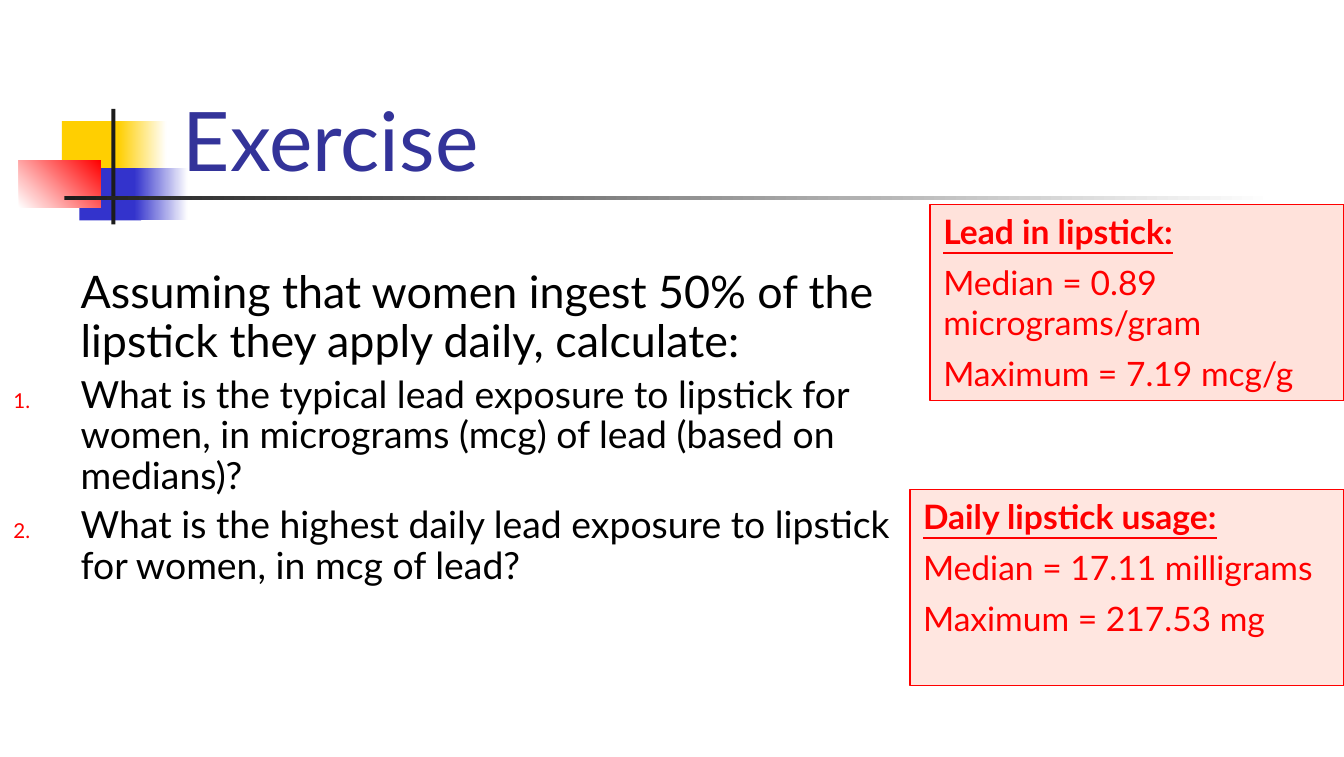
"""Build the lipstick lead exposure exercise slide."""
from lxml import etree
from pptx import Presentation
from pptx.dml.color import RGBColor
from pptx.enum.shapes import MSO_SHAPE
from pptx.enum.text import MSO_ANCHOR, MSO_AUTO_SIZE, PP_ALIGN
from pptx.oxml.ns import qn
from pptx.util import Inches, Pt

RECT = MSO_SHAPE.RECTANGLE
TOP, BOTTOM = MSO_ANCHOR.TOP, MSO_ANCHOR.BOTTOM
FIXED = MSO_AUTO_SIZE.NONE
LEFT = PP_ALIGN.LEFT

THEME = {
    "font": "Lato",
    "title": "333399", "text": "000000", "alert": "FF0000", "tint": "FF3300",
    "gold": "FFCF01", "blue": "3333CC", "dark": "1C1C1C", "white": "FFFFFF",
    "head_pt": 44, "lead_pt": 24, "item_pt": 20, "note_pt": 18,
}


def style(par, size, color, bold=False):
    for run in par.runs:
        font = run.font
        font.name, font.size = THEME["font"], Pt(THEME[size])
        font.color.rgb = RGBColor.from_string(THEME[color])
        font.bold = font.underline = bold


def add_rect(box, start, end=None, angle=0):
    rect = slide.shapes.add_shape(RECT, *map(Inches, box))
    rect.shadow.inherit = False
    rect.line.fill.background()
    if end:
        rect.fill.gradient()
        rect.fill.gradient_angle = angle
        for stop, name in zip(rect.fill.gradient_stops, (start, end)):
            stop.color.rgb = RGBColor.from_string(THEME[name])
    else:
        rect.fill.solid()
        rect.fill.fore_color.rgb = RGBColor.from_string(THEME[start])
    return rect


deck = Presentation()
deck.slide_width, deck.slide_height = Inches(10), Inches(5.63)
slide = deck.slides.add_slide(deck.slide_layouts[1])
title, body = slide.placeholders

add_rect((0.46, 0.9, 0.48, 0.39), "gold")
add_rect((0.88, 0.9, 0.36, 0.39), "gold", "white")
add_rect((0.59, 1.25, 0.46, 0.39), "blue")
add_rect((1, 1.25, 0.4, 0.39), "blue", "white")
add_rect((0.14, 1.19, 0.61, 0.35), "white", "alert", 45)
add_rect((0.83, 0.81, 0.03, 0.86), "dark")
add_rect((0.48, 1.46, 9, 0.03), "dark", "white")

for holder, box, anchor in (
    (title, (1.26, 0.51, 8.52, 0.94), BOTTOM),
    (body, (-0.5, 1.96, 7.54, 3.38), TOP),
):
    holder.left, holder.top, holder.width, holder.height = map(Inches, box)
    holder.text_frame.auto_size = FIXED
    holder.text_frame.vertical_anchor = anchor
    slide.shapes._spTree.append(holder._element)

title.text_frame.text = "Exercise"
title.text_frame.paragraphs[0].alignment = LEFT
style(title.text_frame.paragraphs[0], "head_pt", "title")

body.text_frame.text = "\n".join((
    "Assuming that women ingest 50% of the lipstick they apply daily, calculate:",
    "What is the typical lead exposure to lipstick for women, "
    "in micrograms (mcg) of lead (based on medians)?",
    "What is the highest daily lead exposure to lipstick for women, in mcg of lead?",
))
for rank, par in enumerate(body.text_frame.paragraphs):
    props = par._p.get_or_add_pPr()
    props.set("marL", str(Inches(1)))
    props.set("indent", str(Inches(-0.5 if rank else 0)))
    if rank:
        tint = etree.SubElement(props, qn("a:buClr"))
        etree.SubElement(tint, qn("a:srgbClr"), val=THEME["alert"])
        etree.SubElement(props, qn("a:buSzPct"), val="55000")
        etree.SubElement(props, qn("a:buFont"), typeface=THEME["font"])
        etree.SubElement(props, qn("a:buAutoNum"), type="arabicPeriod")
    else:
        etree.SubElement(props, qn("a:buNone"))
    par.line_spacing = 0.9
    par.space_before = Pt(5 if rank else 0)
    style(par, "item_pt" if rank else "lead_pt", "text")

for box, alpha, lines in (
    ((6.92, 1.52, 3.08, 1.46), 14,
     ("Lead in lipstick:", "Median = 0.89 micrograms/gram", "Maximum = 7.19 mcg/g")),
    ((6.77, 3.64, 3.23, 1.46), 12,
     ("Daily lipstick usage:", "Median = 17.11 milligrams", "Maximum = 217.53 mg")),
):
    note = add_rect(box, "tint")
    color = note.fill._xPr.find(qn("a:solidFill"))[0]
    etree.SubElement(color, qn("a:alpha"), val=str(alpha * 1000))
    note.line.color.rgb = RGBColor.from_string(THEME["alert"])
    note.line.width = Pt(0.75)
    frame = note.text_frame
    frame.word_wrap, frame.auto_size = True, FIXED
    frame.vertical_anchor = TOP
    frame.text = "\n".join(lines)
    for rank, par in enumerate(frame.paragraphs):
        par.alignment = LEFT
        par.space_before = Pt(5.6 if rank else 0)
        style(par, "note_pt", "alert", rank == 0)

deck.save("out.pptx")
